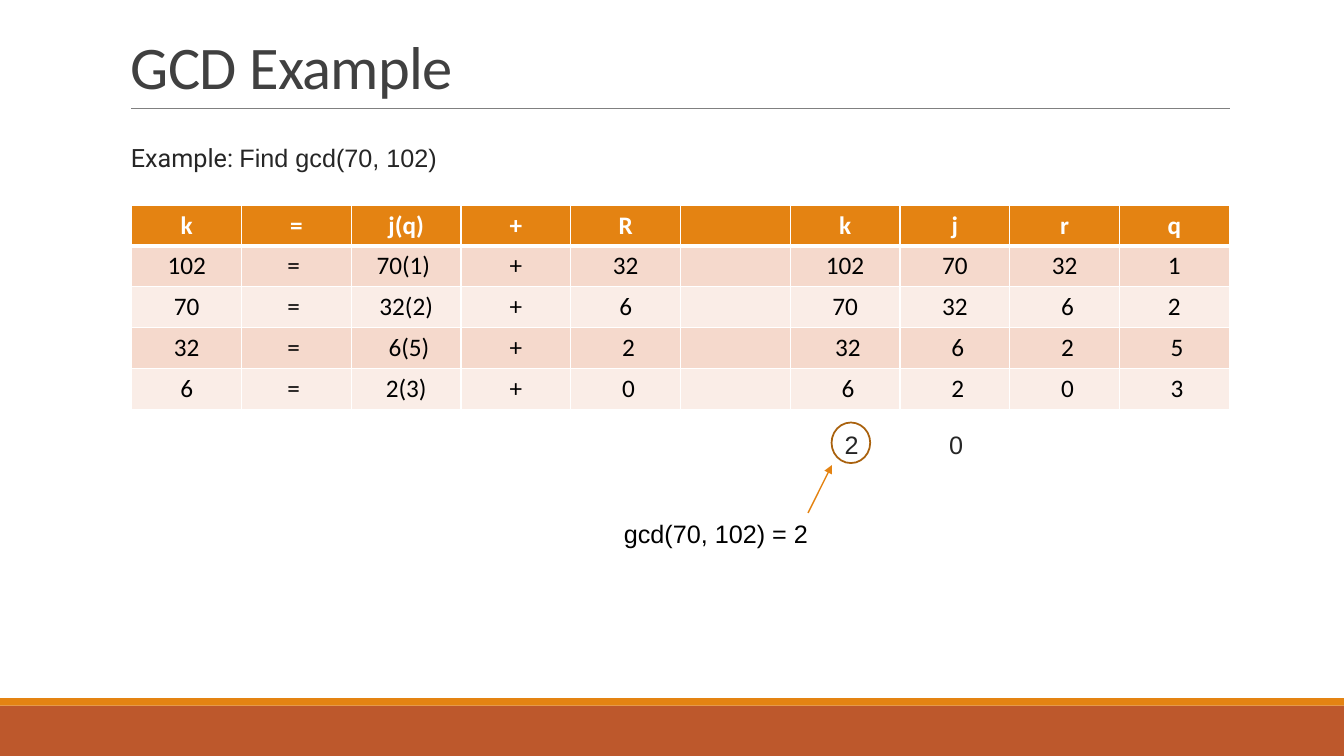
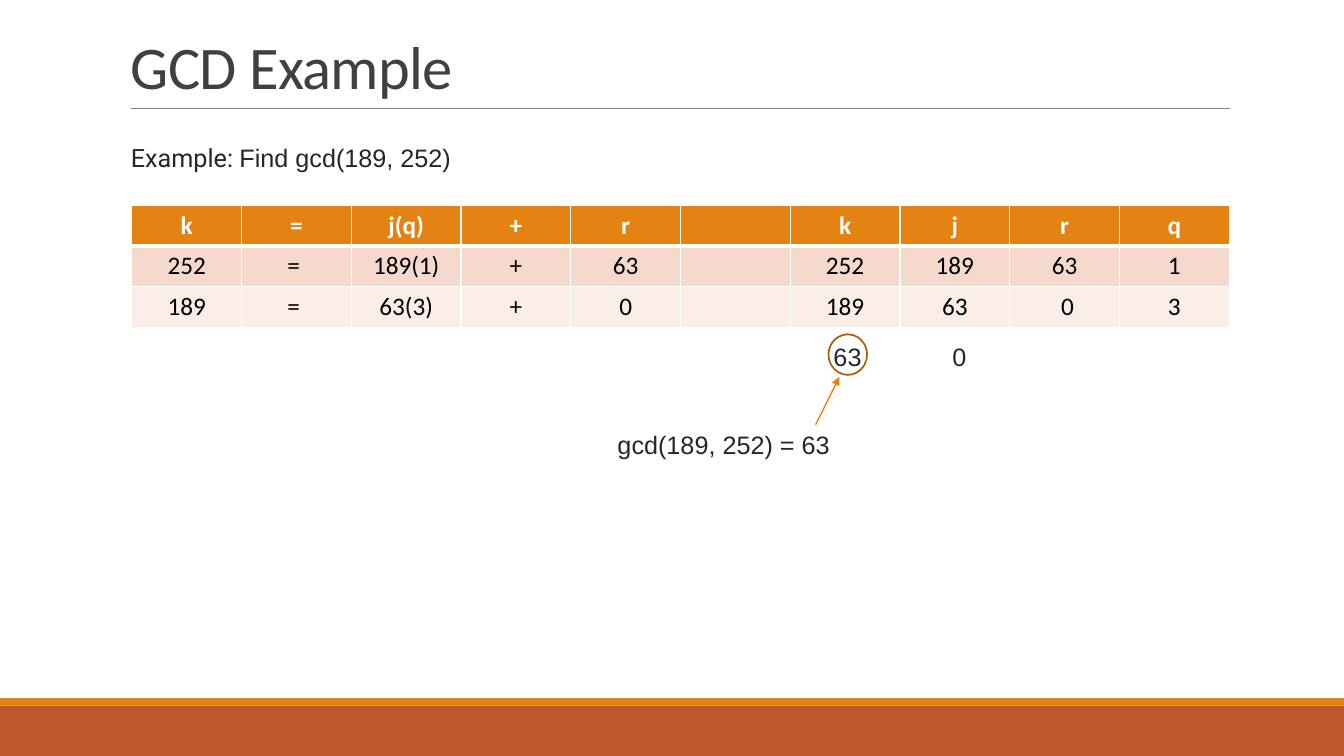
from lxml import etree
from pptx import Presentation
from pptx.dml.color import RGBColor
from pptx.enum.shapes import MSO_CONNECTOR, MSO_SHAPE
from pptx.enum.text import MSO_ANCHOR, MSO_AUTO_SIZE, PP_ALIGN
from pptx.oxml.ns import qn
from pptx.util import Pt

RECTANGLE, OVAL = MSO_SHAPE.RECTANGLE, MSO_SHAPE.OVAL
STRAIGHT = MSO_CONNECTOR.STRAIGHT
CENTER = PP_ALIGN.CENTER
BOTTOM = MSO_ANCHOR.BOTTOM
FIT_SHAPE = MSO_AUTO_SIZE.SHAPE_TO_FIT_TEXT

COLORS = {
    "footer": "BD582C", "accent": "E48312", "rule": "808080",
    "title": "404040", "text": "262626", "black": "000000",
    "white": "FFFFFF", "circle": "A9610D",
    "odd_row": "F5D9CC", "even_row": "FAEDE7",
}
BODY_SIZE = 18
TEXT_HEIGHT = 29
COLUMN_WIDTH, ROW_HEIGHT = 78.4, 29.2


def rgb(name):
    return RGBColor.from_string(COLORS[name])


class Deck:
    """Holds the style and the slide being built."""

    def __init__(self):
        self.presentation = Presentation()
        self.presentation.slide_width = Pt(960)
        self.presentation.slide_height = Pt(540)
        self.slide = None

    def new_slide(self, title):
        layout = self.presentation.slide_layouts[6]
        self.slide = self.presentation.slides.add_slide(layout)
        self.shape(RECTANGLE, 0, 504, 960, 36, fill="footer")
        self.shape(RECTANGLE, 0, 498.7, 960, 5.3, fill="accent")
        self.line((93.6, 77.2), (878.4, 77.2), "rule", 0.5)
        frame = self.text(86.4, 22.2, 792, [(title, "Calibri")],
                          "title", size=43.2, height=54, wrap=True)
        frame.vertical_anchor = BOTTOM
        paragraph = frame.paragraphs[0]
        paragraph.line_spacing = 0.85
        paragraph.runs[0].font._element.set("spc", "-50")

    def shape(self, kind, left, top, width, height, fill=None, line=None):
        shape = self.slide.shapes.add_shape(
            kind, Pt(left), Pt(top), Pt(width), Pt(height))
        shape.shadow.inherit = False
        if fill:
            shape.fill.solid()
            shape.fill.fore_color.rgb = rgb(fill)
        else:
            shape.fill.background()
        if line:
            shape.line.color.rgb = rgb(line)
            shape.line.width = Pt(1.25)
        else:
            shape.line.fill.background()

    def line(self, start, end, color, width, arrow=False):
        connector = self.slide.shapes.add_connector(
            STRAIGHT, *(Pt(value) for value in (*start, *end)))
        connector.line.color.rgb = rgb(color)
        connector.line.width = Pt(width)
        if arrow:
            outline = connector.line._get_or_add_ln()
            etree.SubElement(outline, qn("a:tailEnd"), type="triangle")
        etree.SubElement(connector._element.spPr, qn("a:effectLst"))

    def text(self, left, top, width, parts, color="text", size=BODY_SIZE,
             height=TEXT_HEIGHT, wrap=False):
        box = self.slide.shapes.add_textbox(
            Pt(left), Pt(top), Pt(width), Pt(height))
        frame = box.text_frame
        frame.word_wrap = wrap
        if not wrap:
            frame.auto_size = FIT_SHAPE
        for words, font_name in parts:
            run = frame.paragraphs[0].add_run()
            run.text = words
            self.style(run.font, font_name, size, color)
        return frame

    def style(self, font, name, size, color, bold=False):
        font.name, font.size, font.bold = name, Pt(size), bold
        font.color.rgb = rgb(color)

    def table(self, left, top, rows):
        column_count = len(rows[0])
        table = self.slide.shapes.add_table(
            len(rows), column_count, Pt(left), Pt(top),
            Pt(COLUMN_WIDTH * column_count), Pt(ROW_HEIGHT * len(rows))).table
        for column in table.columns:
            column.width = Pt(COLUMN_WIDTH)
        for row_index, values in enumerate(rows):
            table.rows[row_index].height = Pt(ROW_HEIGHT)
            for column_index, value in enumerate(values):
                self.cell(table.cell(row_index, column_index), value, row_index)

    def cell(self, cell, value, row_index):
        header = row_index == 0
        fill = "accent" if header else ("even_row", "odd_row")[row_index % 2]
        cell.fill.solid()
        cell.fill.fore_color.rgb = rgb(fill)
        # The gap below the header is wider than the other borders
        widths = {"lnL": 1, "lnR": 1, "lnT": 3 if row_index == 1 else 1,
                  "lnB": 3 if header else 1}
        properties = cell._tc.get_or_add_tcPr()
        for position, (side, width) in enumerate(widths.items()):
            border = etree.Element(qn(f"a:{side}"), w=str(Pt(width)))
            solid = etree.SubElement(border, qn("a:solidFill"))
            etree.SubElement(solid, qn("a:srgbClr"), val=COLORS["white"])
            properties.insert(position, border)
        cell.text_frame.text = value
        paragraph = cell.text_frame.paragraphs[0]
        paragraph.alignment = CENTER
        for run in paragraph.runs:
            self.style(run.font, "Calibri", BODY_SIZE,
                       "white" if header else "black", header)

    def answer(self, top, circle_left, value, zero, arrow, caption,
               caption_color):
        """Circled result, remainder zero and the arrow from the caption."""
        for words, left, width in (value, zero):
            self.text(left, top + 1.2, width, [(words, "Arial")])
        self.shape(OVAL, circle_left, top, 27.6, 29, line="circle")
        arrow_start, arrow_end = arrow
        self.line((arrow_start, top + 64.6), (arrow_end, top + 30.4),
                  "accent", 1, arrow=True)
        words, left, width = caption
        self.text(left, top + 64.6, width, [(words, "Arial")], caption_color)


# Each slide: question, table rows and the answer below the table
EXAMPLES = [
    {
        "question": ("Find gcd(70, 102)", 237.6),
        "rows": [
            "k|=|j(q)|+|R||k|j|r|q",
            "102|= |70(1) |+|32||102|70|32|1",
            "70|= |32(2)|+|6||70|32| 6|2",
            "32|= | 6(5)|+| 2|| 32| 6| 2| 5",
            "6|= |2(3)|+| 0|| 6| 2| 0| 3",
        ],
        "answer": {
            "top": 301.8, "circle_left": 594,
            "value": ("2", 596.2, 24.4), "zero": ("0", 670.8, 24.4),
            "arrow": (577.2, 594.2),
            "caption": ("gcd(70, 102) = 2", 438.5, 147.6),
            "caption_color": "black",
        },
    },
    {
        "question": ("Find gcd(189, 252)", 247.7),
        "rows": [
            "k|=|j(q)|+|r||k|j|r|q",
            "252|= |189(1)|+|63||252|189|63|1",
            "189|= |63(3)|+|0||189|63| 0|3",
        ],
        "answer": {
            "top": 238.8, "circle_left": 591.8,
            "value": ("63", 588.3, 34.4), "zero": ("0", 673.2, 24.4),
            "arrow": (582.6, 599.6),
            "caption": ("gcd(189, 252) = 63", 434, 167.8),
            "caption_color": "text",
        },
    },
]


def main():
    deck = Deck()
    for example in EXAMPLES:
        deck.new_slide("GCD Example")
        deck.table(94.2, 146.4, [row.split("|") for row in example["rows"]])
        question, width = example["question"]
        deck.text(86.4, 98, width,
                  [("Example: ", "Roboto"), (question, "Arial")])
        deck.answer(**example["answer"])
    deck.presentation.save("out.pptx")


if __name__ == "__main__":
    main()
